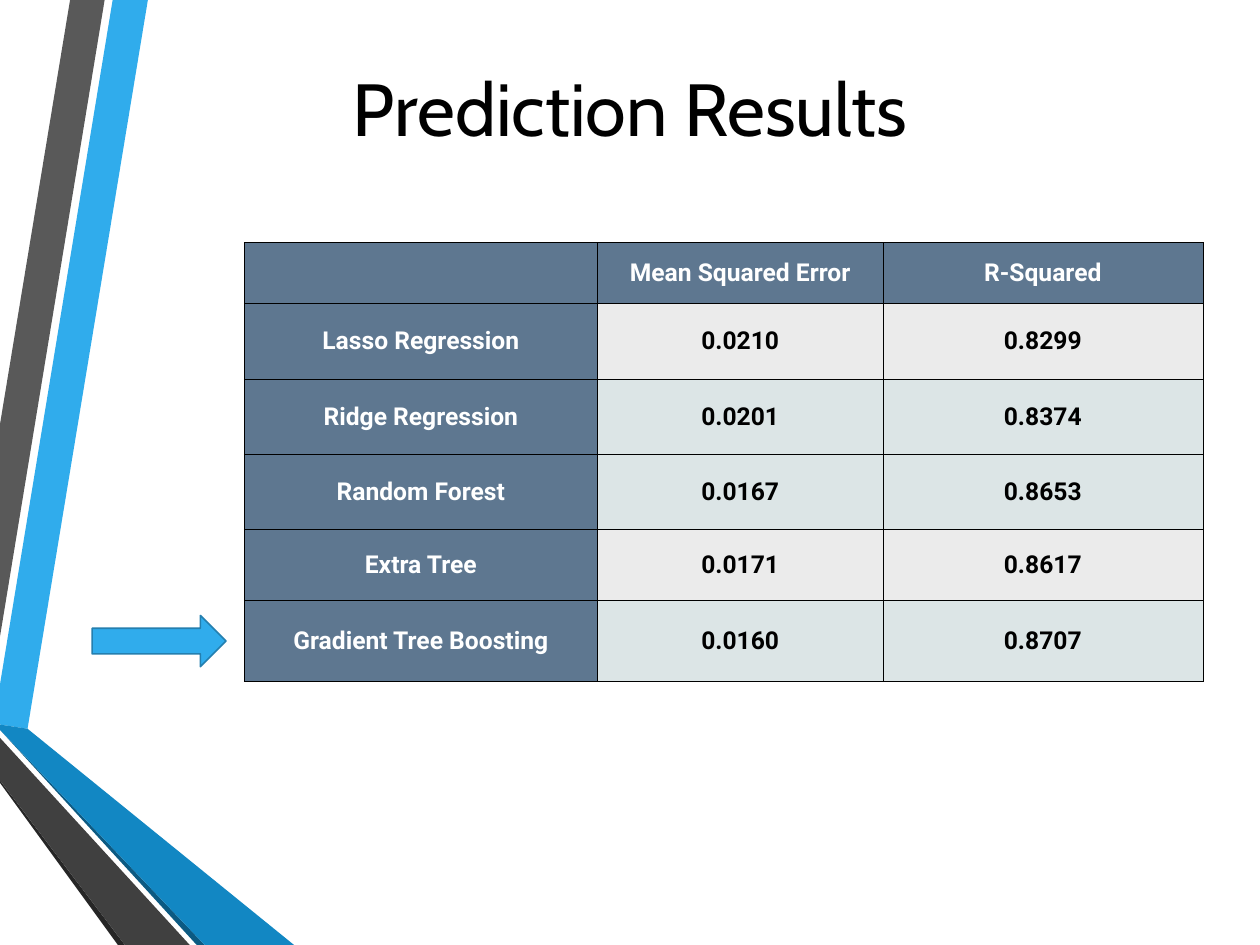
from lxml import etree
from pptx import Presentation
from pptx.dml.color import RGBColor
from pptx.enum.shapes import MSO_SHAPE
from pptx.enum.text import MSO_ANCHOR, PP_ALIGN
from pptx.oxml.ns import qn
from pptx.util import Cm, Pt

CENTER = PP_ALIGN.CENTER
MIDDLE = MSO_ANCHOR.MIDDLE
RIGHT_ARROW = MSO_SHAPE.RIGHT_ARROW

WIDTH, HEIGHT = 36.12, 27.1
COLORS = {
    "black": "000000", "white": "FFFFFF",
    "blue": "30ACEC", "blue_edge": "247FAF", "deep_blue": "1287C3", "navy": "0C5A82",
    "gray": "595959", "charcoal": "404040", "near_black": "262626",
    "slate": "5E7790", "light_gray": "EBEBEB", "mist": "DCE5E6",
}

RIBBONS = [
    ("blue", [(0, 19.63), (0, 20.78), (0.79, 20.9), (4.24, 0), (3.23, 0)]),
    ("gray", [(3, 0), (2.01, 0), (0, 12.17), (0, 18.26)]),
    ("near_black", [(0, 22.38), (0, 22.45), (3.38, HEIGHT), (3.58, HEIGHT)]),
    ("navy", [(0, 20.93), (5.64, HEIGHT), (5.87, HEIGHT)]),
    ("deep_blue", [(0, 20.93), (5.87, HEIGHT), (8.43, HEIGHT), (0.79, 20.9), (0, 20.78)]),
    ("charcoal", [(0, 22.38), (3.58, HEIGHT), (5.44, HEIGHT), (0, 21.16)]),
]

RESULTS = [
    ("", "Mean Squared Error", "R-Squared"),
    ("Lasso Regression", "0.0210", "0.8299"),
    ("Ridge Regression", "0.0201", "0.8374"),
    ("Random Forest", "0.0167", "0.8653"),
    ("Extra Tree", "0.0171", "0.8617"),
    ("Gradient Tree Boosting", "0.0160", "0.8707"),
]
COLUMN_WIDTHS = [10.13, 8.18, 9.17]
ROW_HEIGHTS = [1.75, 2.16, 2.16, 2.16, 2.03, 2.33]
GRAY_ROWS = {1, 4}


def rgb(color):
    return RGBColor.from_string(COLORS[color])


class SlideBuilder:
    """Draws styled elements on one slide; all lengths are in centimetres."""

    title_font, table_font = "Cabin", "Roboto"
    cell_margin = 0.05

    def __init__(self, slide):
        self.slide = slide

    def add_text(self, frame, text, font, size, color, bold=False):
        frame.word_wrap = True
        paragraph = frame.paragraphs[0]
        paragraph.alignment = CENTER
        run = paragraph.add_run()
        run.text = text
        run.font.name = font
        run.font.size = Pt(size)
        run.font.bold = bold
        run.font.color.rgb = rgb(color)

    def paint(self, shape, fill, edge=None):
        shape.shadow.inherit = False
        shape.fill.solid()
        shape.fill.fore_color.rgb = rgb(fill)
        if edge:
            shape.line.color.rgb = rgb(edge)
            shape.line.width = Pt(1.25)
        else:
            shape.line.fill.background()

    def ribbon(self, color, corners):
        start, *others = [(Cm(x), Cm(y)) for x, y in corners]
        outline = self.slide.shapes.build_freeform(*start)
        outline.add_line_segments(others, close=True)
        self.paint(outline.convert_to_shape(), color)

    def title(self, text, *box):
        frame = self.slide.shapes.add_textbox(*map(Cm, box)).text_frame
        frame.vertical_anchor = MIDDLE
        self.add_text(frame, text, self.title_font, 60, "black")

    def arrow(self, *box):
        self.paint(self.slide.shapes.add_shape(RIGHT_ARROW, *map(Cm, box)), "blue", "blue_edge")

    def border(self, cell):
        properties = cell._tc.get_or_add_tcPr()
        for side in ("lnL", "lnR", "lnT", "lnB"):
            line = etree.SubElement(properties, qn(f"a:{side}"), w=str(Pt(0.5)))
            fill = etree.SubElement(line, qn("a:solidFill"))
            etree.SubElement(fill, qn("a:srgbClr"), val=COLORS["black"])

    def cell(self, cell, text, fill, color):
        self.border(cell)
        cell.fill.solid()
        cell.fill.fore_color.rgb = rgb(fill)
        cell.vertical_anchor = MIDDLE
        cell.margin_left = cell.margin_right = Cm(self.cell_margin)
        cell.margin_top = cell.margin_bottom = Cm(self.cell_margin)
        if text:
            self.add_text(cell.text_frame, text, self.table_font, 20, color, bold=True)

    def table(self, left, top, rows, widths, heights):
        table = self.slide.shapes.add_table(
            len(rows), len(widths), Cm(left), Cm(top), Cm(sum(widths)), Cm(sum(heights))
        ).table
        for column, width in zip(table.columns, widths):
            column.width = Cm(width)
        for row, height in zip(table.rows, heights):
            row.height = Cm(height)
        for r, texts in enumerate(rows):
            band = "light_gray" if r in GRAY_ROWS else "mist"
            for c, text in enumerate(texts):
                is_header = r == 0 or c == 0
                fill, color = ("slate", "white") if is_header else (band, "black")
                self.cell(table.cell(r, c), text, fill, color)


def main():
    presentation = Presentation()
    presentation.slide_width, presentation.slide_height = Cm(WIDTH), Cm(HEIGHT)
    builder = SlideBuilder(presentation.slides.add_slide(presentation.slide_layouts[6]))
    for color, corners in RIBBONS:
        builder.ribbon(color, corners)
    builder.title("Prediction Results", 2.64, 0.08, 30.84, 6)
    builder.table(7, 6.96, RESULTS, COLUMN_WIDTHS, ROW_HEIGHTS)
    builder.arrow(2.64, 17.65, 3.84, 1.47)
    presentation.save("out.pptx")


if __name__ == "__main__":
    main()
